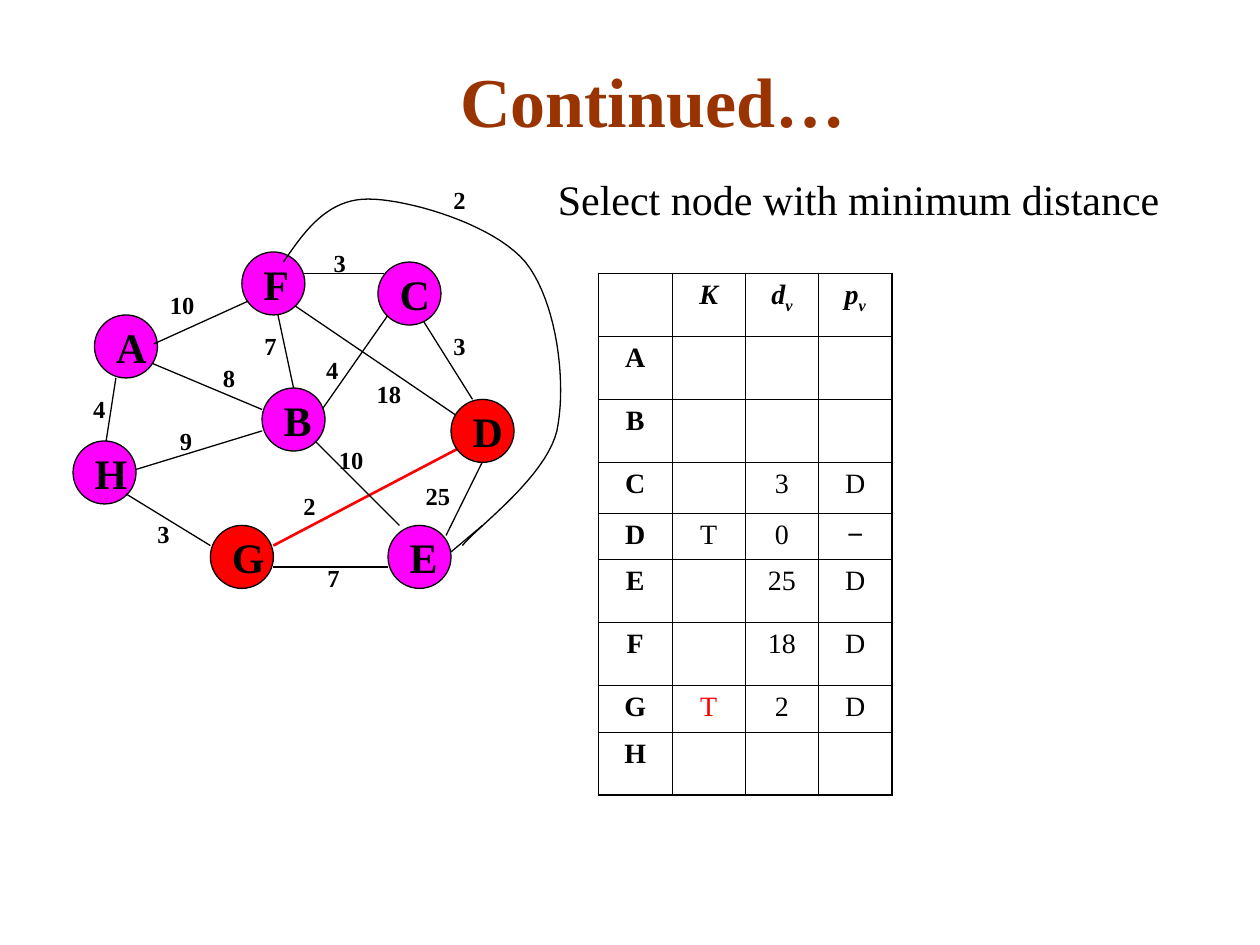
from lxml import etree
from pptx import Presentation
from pptx.dml.color import RGBColor
from pptx.enum.shapes import MSO_CONNECTOR, MSO_SHAPE
from pptx.enum.text import MSO_ANCHOR, PP_ALIGN
from pptx.oxml import parse_xml
from pptx.oxml.ns import nsdecls, qn
from pptx.util import Inches, Pt

HUES = {"black": "000000", "red": "FF0000", "pink": "FF00FF", "brown": "993300"}
SERIF = "Times New Roman"


def write(frame, text, size=14, bold=True, italic=False, hue="black",
          font=SERIF, align=PP_ALIGN.LEFT, sub=""):
    """Fill the first paragraph; sub is a trailing subscript."""
    para = frame.paragraphs[0]
    para.alignment = align
    for part in filter(None, (text, sub)):
        run = para.add_run()
        run.text = part
        run.font.size = Pt(size)
        run.font.name = font
        run.font.bold = bold
        run.font.italic = italic
        run.font.color.rgb = RGBColor.from_string(HUES[hue])
    if sub:
        run._r.get_or_add_rPr().set("baseline", "-25000")


def link(x1, y1, x2, y2, hue="black", width=0.75):
    """Draw one straight edge of the graph."""
    edge = shapes.add_connector(MSO_CONNECTOR.STRAIGHT, Inches(x1), Inches(y1),
                                Inches(x2), Inches(y2))
    edge.line.color.rgb = RGBColor.from_string(HUES[hue])
    edge.line.width = Pt(width)
    etree.SubElement(edge._element.spPr, qn("a:effectLst"))


deck = Presentation()
deck.slide_width, deck.slide_height = Inches(10), Inches(7.5)
shapes = deck.slides.add_slide(deck.slide_layouts[6]).shapes

# Edges behind the nodes
for edge in [
    (3.95, 3.42, 3.54, 4.25), (2.17, 2.33, 2.33, 3.08),
    (2.5, 3.33, 3.08, 2.5), (3.67, 3.33, 2.33, 2.42),
    (1, 3.75, 2.08, 3.42), (2.17, 4.33, 3.75, 3.5, "red", 1.5),
    (0.83, 3.58, 0.92, 3), (1.08, 2.83, 2.08, 3.25),
    (2.38, 2.17, 3.05, 2.17), (3.33, 2.5, 3.75, 3.17),
]:
    link(*edge)

# Nodes; the chosen ones are red
nodes = {"A": (0.75, 2.5), "H": (0.58, 3.5), "B": (2.08, 3.08), "F": (1.92, 2),
         "E": (3.08, 4.17), "D": (3.58, 3.17), "C": (3, 2.08), "G": (1.67, 4.17)}
for name, (x, y) in nodes.items():
    node = shapes.add_shape(MSO_SHAPE.OVAL, Inches(x), Inches(y), Inches(0.5), Inches(0.5))
    node.shadow.inherit = False
    node.fill.solid()
    node.fill.fore_color.rgb = RGBColor.from_string(HUES["red" if name in "DG" else "pink"])
    node.line.color.rgb = RGBColor.from_string(HUES["black"])
    node.line.width = Pt(0.75)
    node.text_frame.word_wrap = False
    node.text_frame.vertical_anchor = MSO_ANCHOR.MIDDLE
    write(node.text_frame, name, size=24)

# Edges in front of the nodes
for edge in [
    (2.5, 3.5, 3.17, 4.17), (3.08, 4.5, 2.17, 4.5), (1.67, 4.33, 1, 3.92),
    (1.22, 2.73, 1.97, 2.39), (3.83, 4.17, 3.58, 4.38),
]:
    link(*edge)

# Curved edge from F to E: cubic Bézier pieces, each starting where the last ended
start = (2.25, 2.08)
curve = [
    ((2.42, 1.83), (2.6, 1.58), (2.92, 1.58)),
    ((3.24, 1.58), (3.92, 1.78), (4.17, 2.08)),
    ((4.42, 2.39), (4.5, 3.04), (4.42, 3.42)),
    ((4.33, 3.79), (3.79, 4.18), (3.67, 4.33)),
]
steps = 20
dots = []
last = start
for piece in curve:
    for step in range(1, steps + 1):
        t = step / steps
        dots.append(tuple(
            Inches((1 - t) ** 3 * a + 3 * (1 - t) ** 2 * t * b + 3 * (1 - t) * t ** 2 * c + t ** 3 * d)
            for a, b, c, d in zip(last, *piece)))
    last = piece[-1]
pen = shapes.build_freeform(Inches(start[0]), Inches(start[1]))
pen.add_line_segments(dots, close=False)
arc = pen.convert_to_shape()
arc.shadow.inherit = False
arc.fill.background()
arc.line.color.rgb = RGBColor.from_string(HUES["black"])
arc.line.width = Pt(0.75)

# Edge weights
for text, x, y in [
    ("4", 0.64, 3.08), ("25", 3.28, 3.77), ("7", 2.5, 4.42), ("2", 2.31, 3.85),
    ("10", 2.59, 3.48), ("18", 2.89, 2.96), ("3", 3.5, 2.58), ("4", 2.49, 2.77),
    ("3", 2.55, 1.92), ("7", 2, 2.58), ("8", 1.67, 2.83), ("9", 1.33, 3.33),
    ("3", 1.15, 4.07), ("10", 1.25, 2.25), ("2", 3.5, 1.42),
]:
    wide = 0.33 if len(text) == 1 else 0.52
    box = shapes.add_textbox(Inches(x), Inches(y), Inches(wide), Inches(0.34))
    box.text_frame.word_wrap = True
    write(box.text_frame, text)

# Title and step
title = shapes.add_textbox(Inches(0.5), Inches(0.25), Inches(9.36), Inches(0.92))
title.text_frame.word_wrap = True
title.text_frame.vertical_anchor = MSO_ANCHOR.BOTTOM
write(title.text_frame, "Continued…", size=40, hue="brown", align=PP_ALIGN.CENTER)

note = shapes.add_textbox(Inches(4.33), Inches(1.33), Inches(5.67), Inches(0.5))
note.text_frame.word_wrap = True
write(note.text_frame, "Select node with minimum distance", size=24, bold=False)

# Distance table; rows with every cell filled are shorter
rows = [
    ("", "K", "d", "p"), ("A", "", "", ""), ("B", "", "", ""),
    ("C", "", "3", "D"), ("D", "T", "0", "−"), ("E", "", "25", "D"),
    ("F", "", "18", "D"), ("G", "T", "2", "D"), ("H", "", "", ""),
]
tall = [0.37 if row[0] in ("C", "D", "G") else 0.5 for row in rows]
table = shapes.add_table(len(rows), 4, Inches(4.75), Inches(2.17),
                         Inches(2.33), Inches(sum(tall))).table
table.first_row = table.horz_banding = False
for col in table.columns:
    col.width = Inches(2.33 / 4)
for r, row in enumerate(rows):
    table.rows[r].height = Inches(tall[r])
    for c, text in enumerate(row):
        cell = table.cell(r, c)
        cell.fill.background()
        outer = {"L": c == 0, "R": c == 3, "T": r == 0, "B": r == len(rows) - 1}
        for i, (side, edge) in enumerate(outer.items()):
            width = Pt(1.08 if edge else 0.45)
            cell._tc.get_or_add_tcPr().insert(i, parse_xml(
                f'<a:ln{side} {nsdecls("a")} w="{width}"><a:solidFill>'
                f'<a:srgbClr val="{HUES["black"]}"/></a:solidFill></a:ln{side}>'))
        write(cell.text_frame, text, size=16, bold=r == 0 or c == 0, italic=r == 0,
              hue="red" if (row[0], c) == ("G", 1) else "black",
              font="Arial" if text == "−" else SERIF, align=PP_ALIGN.CENTER,
              sub="v" if r == 0 and c > 1 else "")

deck.save("out.pptx")
